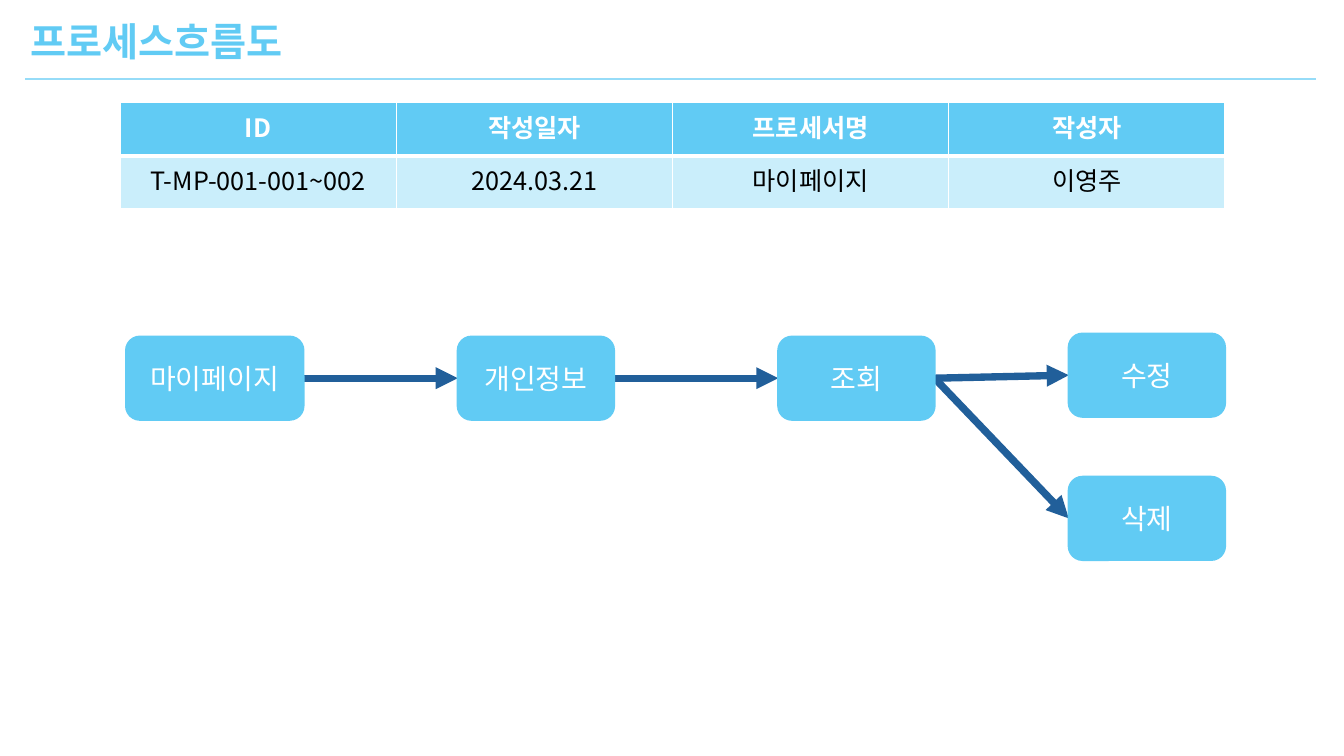
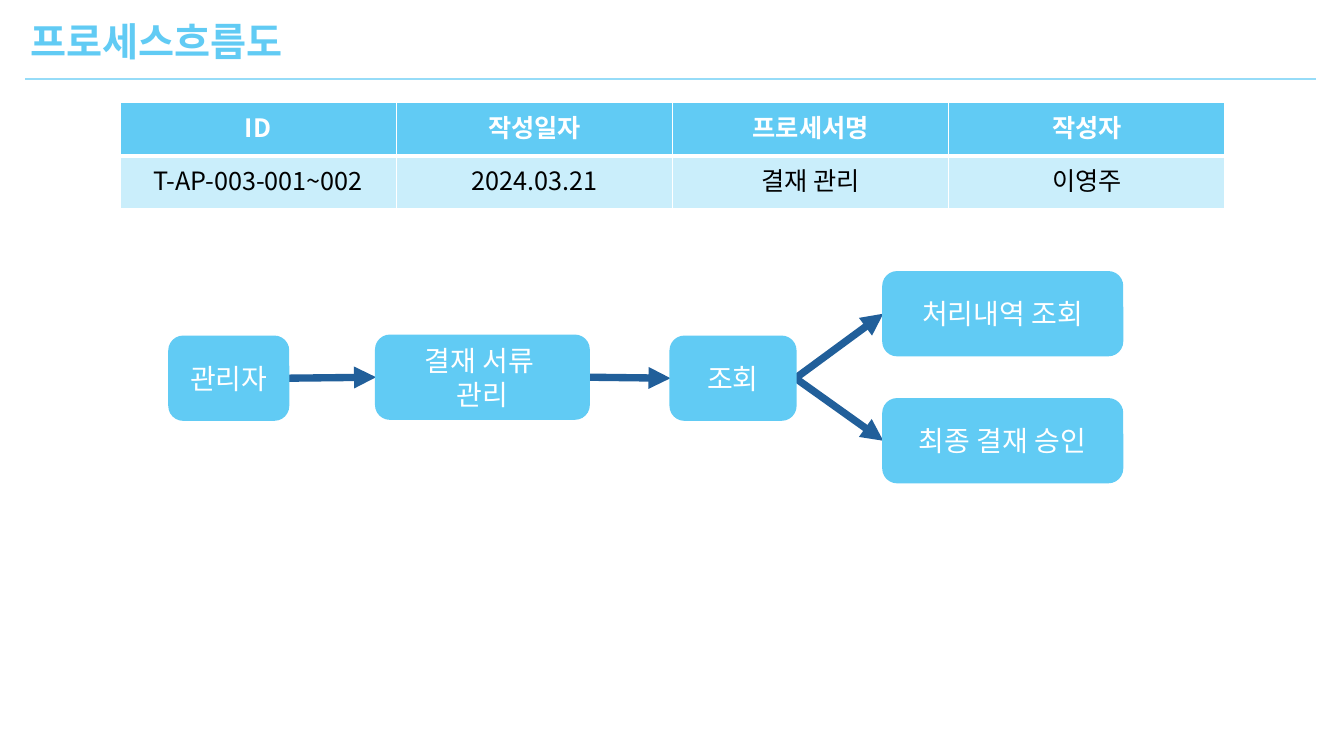
import pptx
import pptx.dml.color
import pptx.enum.shapes
import pptx.enum.text
import pptx.oxml.ns
import pptx.util
from lxml import etree

RGB = pptx.dml.color.RGBColor
SKY = RGB(0x61, 0xCB, 0xF4)
SKY_RULE = RGB(0x96, 0xDC, 0xF8)
SKY_PALE = RGB(0xCA, 0xEE, 0xFB)
NAVY = RGB(0x21, 0x5F, 0x9A)
WHITE = RGB(0xFF, 0xFF, 0xFF)
BLACK = RGB(0, 0, 0)
FONT = "Noto Sans CJK KR"

# Lengths are counted on a grid of 100 columns by 100 rows
WIDTH, HEIGHT = 13.33, 7.5
BOX_H = 11
LEFT, RIGHT = 1, 3  # connection sites

CENTER = pptx.enum.text.PP_ALIGN.CENTER
STRAIGHT = pptx.enum.shapes.MSO_CONNECTOR.STRAIGHT
ROUNDED = pptx.enum.shapes.MSO_SHAPE.ROUNDED_RECTANGLE

TITLE = "프로세스흐름도"
HEADERS = ["ID", "작성일자", "프로세서명", "작성자"]

# Each flow: table values, boxes (text, column, row, width), links between boxes
FLOWS = [
    (["T-MP-001-001~002", "2024.03.21", "마이페이지", "이영주"],
     [("마이페이지", 9.38, 44.53, 13.2),
      ("개인정보", 34.06, 44.53, 11.63),
      ("조회", 57.91, 44.53, 11.63),
      ("수정", 79.52, 44.13, 11.63),
      ("삭제", 79.52, 63.07, 11.63)],
     [(0, 1), (1, 2), (2, 3), (2, 4)]),
    (["T-AP-003-001~002", "2024.03.21", "결재 관리", "이영주"],
     [("관리자", 12.6, 44.53, 8.85),
      ("결재 서류 \n관리", 27.98, 44.4, 15.83),
      ("조회", 49.89, 44.53, 9.3),
      ("처리내역 조회", 65.72, 36, 17.78),
      ("최종 결재 승인", 65.72, 52.8, 17.78)],
     [(0, 1), (1, 2), (2, 3), (2, 4)]),
]


def cols(n):
    return pptx.util.Inches(WIDTH * n / 100)


def rows(n):
    return pptx.util.Inches(HEIGHT * n / 100)


def add_xml(parent, tag, **attrs):
    return etree.SubElement(parent, pptx.oxml.ns.qn(tag), attrs)


def write(tf, text, size=18, color=WHITE, bold=False, align=None):
    for i, line in enumerate(text.split("\n")):
        p = tf.add_paragraph() if i else tf.paragraphs[0]
        p.alignment = align
        r = p.add_run()
        r.text = line
        r.font.size = pptx.util.Pt(size)
        r.font.bold = bold
        r.font.color.rgb = color
        r.font.name = FONT
        add_xml(r.font._element, "a:ea", typeface=FONT)


def add_line(s, x1, y1, x2, y2, color, weight):
    line = s.shapes.add_connector(STRAIGHT, cols(x1), rows(y1), cols(x2), rows(y2))
    line.line.color.rgb = color
    line.line.width = pptx.util.Pt(weight)
    add_xml(line._element.spPr, "a:effectLst")
    return line


def add_arrow(s):
    arrow = add_line(s, 0, 0, 0, 0, NAVY, 5.25)
    add_xml(arrow.line._get_or_add_ln(), "a:tailEnd", type="triangle")
    return arrow


def add_box(s, text, x, y, w):
    sp = s.shapes.add_shape(ROUNDED, cols(x), rows(y), cols(w), rows(BOX_H))
    sp.shadow.inherit = False
    sp.fill.solid()
    sp.fill.fore_color.rgb = SKY
    sp.line.color.rgb = SKY
    sp.line.width = pptx.util.Pt(1.5)
    tf = sp.text_frame
    tf.word_wrap = True
    tf.vertical_anchor = pptx.enum.text.MSO_ANCHOR.MIDDLE
    write(tf, text, size=20, align=CENTER)
    return sp


def add_title(s):
    add_line(s, 1.88, 10.4, 97.9, 10.4, SKY_RULE, 1.5)
    box = s.shapes.add_textbox(cols(1.5), rows(1.6), cols(22.13), rows(7.6))
    tf = box.text_frame
    tf.word_wrap = False
    tf.auto_size = pptx.enum.text.MSO_AUTO_SIZE.SHAPE_TO_FIT_TEXT
    write(tf, TITLE, size=28, color=SKY, bold=True)


def set_borders(cell, **weights):
    tcPr = cell._tc.get_or_add_tcPr()
    for side in "LRTB":
        width = str(pptx.util.Pt(weights.get(side, 1)))
        ln = add_xml(tcPr, f"a:ln{side}", w=width)
        add_xml(add_xml(ln, "a:solidFill"), "a:srgbClr", val=str(WHITE))


def add_info_table(s, values):
    table = s.shapes.add_table(2, len(HEADERS), cols(8.93), rows(13.6),
                               cols(82.22), rows(14)).table
    styles = [(HEADERS, SKY, WHITE, True, {"B": 3}),
              (values, SKY_PALE, BLACK, False, {"T": 3})]
    for i, (texts, fill, color, bold, weights) in enumerate(styles):
        for j, text in enumerate(texts):
            cell = table.cell(i, j)
            set_borders(cell, **weights)
            cell.fill.solid()
            cell.fill.fore_color.rgb = fill
            write(cell.text_frame, text, color=color, bold=bold, align=CENTER)


def add_flow(s, boxes, links):
    # Arrows come first so that the boxes lie over their ends
    arrows = [add_arrow(s) for _ in links]
    shapes = [add_box(s, *box) for box in boxes]
    for arrow, (start, end) in zip(arrows, links):
        arrow.begin_connect(shapes[start], RIGHT)
        arrow.end_connect(shapes[end], LEFT)


def main():
    prs = pptx.Presentation()
    prs.slide_width, prs.slide_height = cols(100), rows(100)
    for values, boxes, links in FLOWS:
        s = prs.slides.add_slide(prs.slide_layouts[6])
        add_title(s)
        add_info_table(s, values)
        add_flow(s, boxes, links)
    prs.save("out.pptx")


if __name__ == "__main__":
    main()
